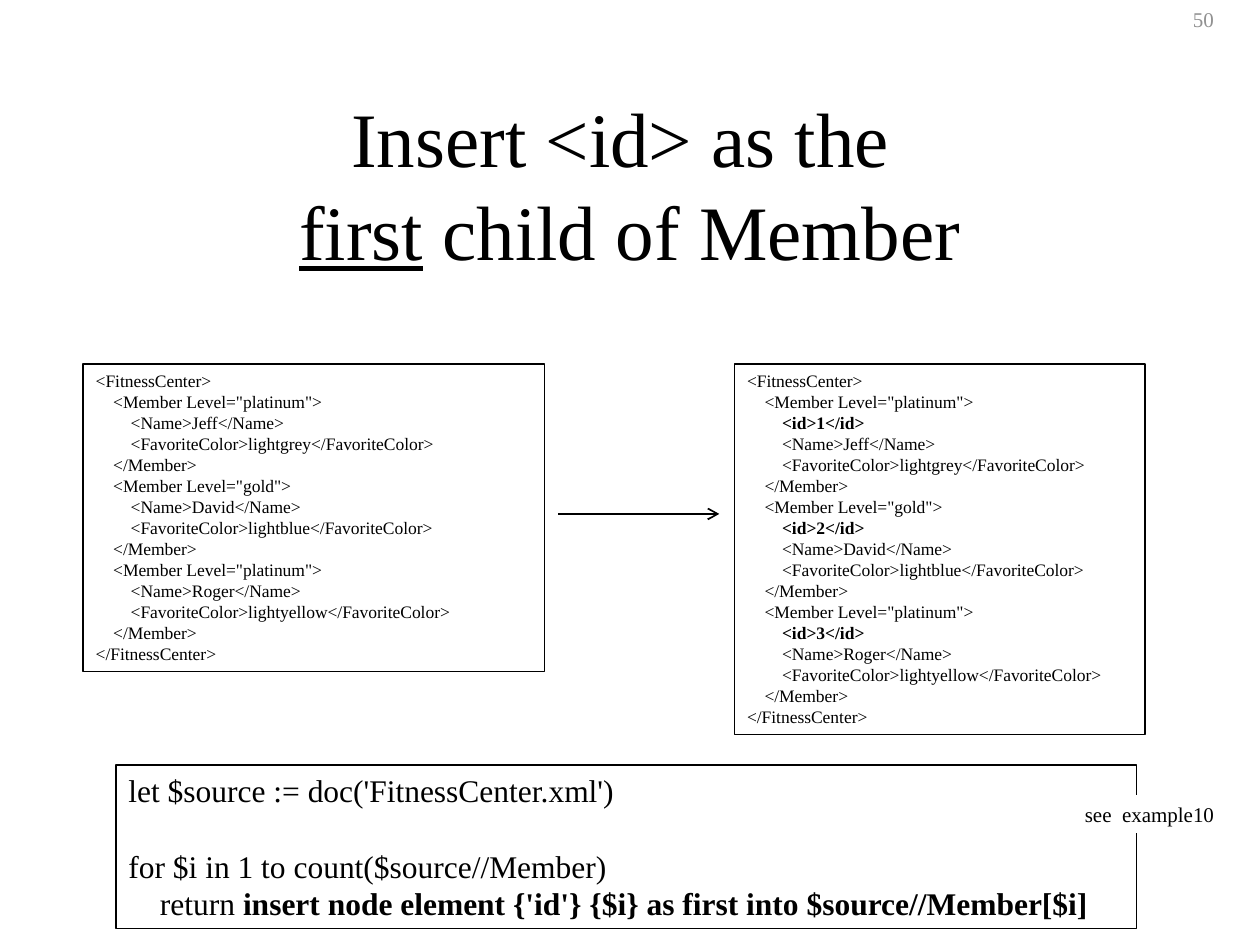
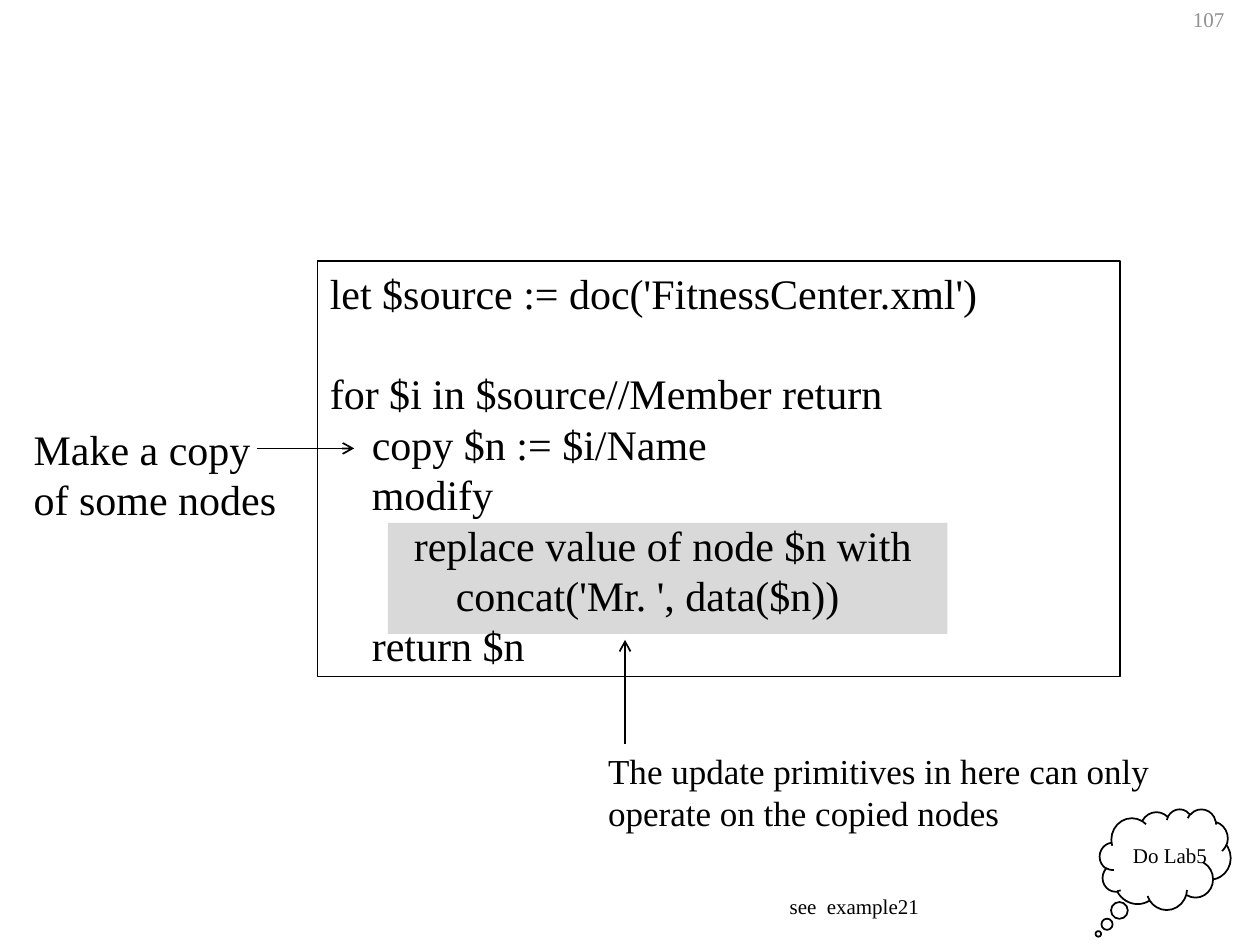
from lxml import etree
from pptx import Presentation
from pptx.dml.color import RGBColor
from pptx.enum.shapes import MSO_CONNECTOR, MSO_SHAPE
from pptx.enum.text import MSO_ANCHOR, MSO_AUTO_SIZE, PP_ALIGN
from pptx.oxml.ns import qn
from pptx.util import Cm, Pt

RECT, CLOUD = MSO_SHAPE.RECTANGLE, MSO_SHAPE.CLOUD_CALLOUT
STRAIGHT = MSO_CONNECTOR.STRAIGHT
LEFT, CENTER = PP_ALIGN.LEFT, PP_ALIGN.CENTER
TOP, NO_FIT = MSO_ANCHOR.TOP, MSO_AUTO_SIZE.NONE

# Shared style
FONT = "Times New Roman"
BLACK, WHITE, GREY, HIGHLIGHT = "000000", "FFFFFF", "919191", "D9D9D9"
LINE_HEIGHT = 1.2
TITLE_ONLY, BLANK = 5, 6

MEMBERS = [
    ("platinum", "Jeff", "lightgrey"),
    ("gold", "David", "lightblue"),
    ("platinum", "Roger", "lightyellow"),
]


def color(hex_string):
    return RGBColor.from_string(hex_string)


def box_at(x, y, w, h):
    return Cm(x), Cm(y), Cm(w), Cm(h)


def write(tf, lines, size, ink=BLACK, align=LEFT, wrap=True):
    """Write lines of (level, part, ...); a part is text or (text, "b" or "u").

    A line of None leaves the height of one line above the next.
    """
    tf.word_wrap = wrap
    tf.auto_size = NO_FIT
    tf.vertical_anchor = TOP
    pitch = Pt(size * LINE_HEIGHT)
    p, gap = None, 0
    for line in lines:
        if line is None:
            gap = pitch
            continue
        level, *parts = line
        p = tf.add_paragraph() if p else tf.paragraphs[0]
        p.alignment = align
        p.line_spacing = pitch
        p.space_before, gap = gap, 0
        pPr = p._p.get_or_add_pPr()
        pPr.set("marL", str(Pt(size * level)))
        pPr.set("indent", "0")
        for part in parts:
            text, mark = part if isinstance(part, tuple) else (part, "")
            r = p.add_run()
            r.text = text
            r.font.name = FONT
            r.font.size = Pt(size)
            r.font.color.rgb = color(ink)
            r.font.bold = mark == "b"
            r.font.underline = mark == "u"


def add_label(s, place, text, size, **style):
    tb = s.shapes.add_textbox(*box_at(*place))
    write(tb.text_frame, [(0, text)], size, **style)
    return tb


def add_panel(s, place, fill=WHITE, line=BLACK, kind=RECT):
    sp = s.shapes.add_shape(kind, *box_at(*place))
    sp.shadow.inherit = False
    if fill:
        sp.fill.solid()
        sp.fill.fore_color.rgb = color(fill)
    else:
        sp.fill.background()
    if line:
        sp.line.color.rgb = color(line)
        sp.line.width = Pt(1)
    else:
        sp.line.fill.background()
    return sp


def add_code(s, place, lines, size, fill=WHITE):
    write(add_panel(s, place, fill).text_frame, lines, size)


def add_arrow(s, x1, y1, x2, y2):
    c = s.shapes.add_connector(STRAIGHT, Cm(x1), Cm(y1), Cm(x2), Cm(y2))
    c.line.color.rgb = color(BLACK)
    c.line.width = Pt(1)
    etree.SubElement(c.line._get_or_add_ln(), qn("a:tailEnd"), type="arrow")
    etree.SubElement(c._element.spPr, qn("a:effectLst"))


def add_example_note(s, x, y, number):
    tb = add_label(s, (x, y, 3.1, 0.76), f"see  example{number}", 12, wrap=False)
    tb.fill.solid()
    tb.fill.fore_color.rgb = color(WHITE)


def add_slide(prs, layout, number):
    s = prs.slides.add_slide(prs.slide_layouts[layout])
    add_label(s, (23.8, 0, 1.5, 0.76), str(number), 12, ink=GREY)
    return s


def fitness_center_xml(with_ids):
    lines = [(0, "<FitnessCenter>")]
    for i, (level, name, shade) in enumerate(MEMBERS, 1):
        lines.append((1, f'<Member Level="{level}">'))
        if with_ids:
            lines.append((2, (f"<id>{i}</id>", "b")))
        lines += [
            (2, f"<Name>{name}</Name>"),
            (2, f"<FavoriteColor>{shade}</FavoriteColor>"),
            (1, "</Member>"),
        ]
    return lines + [(0, "</FitnessCenter>")]


def insert_slide(prs):
    s = add_slide(prs, TITLE_ONLY, 50)
    title = s.shapes.title
    title.left, title.top, title.width, title.height = box_at(1.9, 1.7, 21.6, 3.18)
    write(title.text_frame,
          [(0, "Insert <id> as the "), (0, ("first", "u"), " child of Member")],
          44, align=CENTER)

    # Document before and after the insert
    add_code(s, (1.68, 7.34, 9.3, 6.2), fitness_center_xml(False), 10)
    add_code(s, (14.81, 7.34, 8.28, 7.47), fitness_center_xml(True), 10)
    add_arrow(s, 11.25, 10.36, 14.5, 10.36)

    # Query
    add_code(s, (2.34, 15.42, 20.57, 3.3), [
        (0, "let $source := doc('FitnessCenter.xml')"),
        None,
        (0, "for $i in 1 to count($source//Member)"),
        (1, "return ", ("insert node element {'id'} {$i} as first into "
                        "$source//Member[$i]", "b")),
    ], 18)
    add_example_note(s, 21.62, 16.03, 10)


def copy_modify_slide(prs):
    s = add_slide(prs, BLANK, 107)

    # Query over the highlighted update expression
    add_panel(s, (7.82, 10.54, 11.28, 2.24), HIGHLIGHT, None)
    add_code(s, (6.4, 5.26, 16.18, 8.38), [
        (0, "let $source := doc('FitnessCenter.xml')"),
        None,
        (0, "for $i in $source//Member return"),
        (1, "copy $n := $i/Name"),
        (1, "modify"),
        (2, "replace value of node $n with"),
        (3, "concat('Mr. ', data($n))"),
        (1, "return $n"),
    ], 24, fill=None)

    # Explanations
    add_arrow(s, 5.18, 9.04, 7.14, 9.04)
    add_label(s, (0.43, 8.41, 5.66, 2.29), "Make a copy of some nodes", 24)
    add_arrow(s, 12.6, 14.99, 12.6, 12.9)
    add_label(s, (12.01, 14.99, 12.65, 1.96),
              "The update primitives in here can only operate on the copied nodes", 20)
    add_example_note(s, 15.67, 17.88, 21)

    # Lab reminder
    cloud = add_panel(s, (22.17, 16.31, 2.64, 2.03), kind=CLOUD)
    cloud.adjustments[0], cloud.adjustments[1] = -0.51, 0.74
    add_label(s, (22.58, 16.87, 2.01, 0.76), "Do Lab5", 12, align=CENTER, wrap=False)


def main():
    prs = Presentation()
    prs.slide_width, prs.slide_height = Cm(25.4), Cm(19.05)
    insert_slide(prs)
    copy_modify_slide(prs)
    prs.save("out.pptx")


if __name__ == "__main__":
    main()
